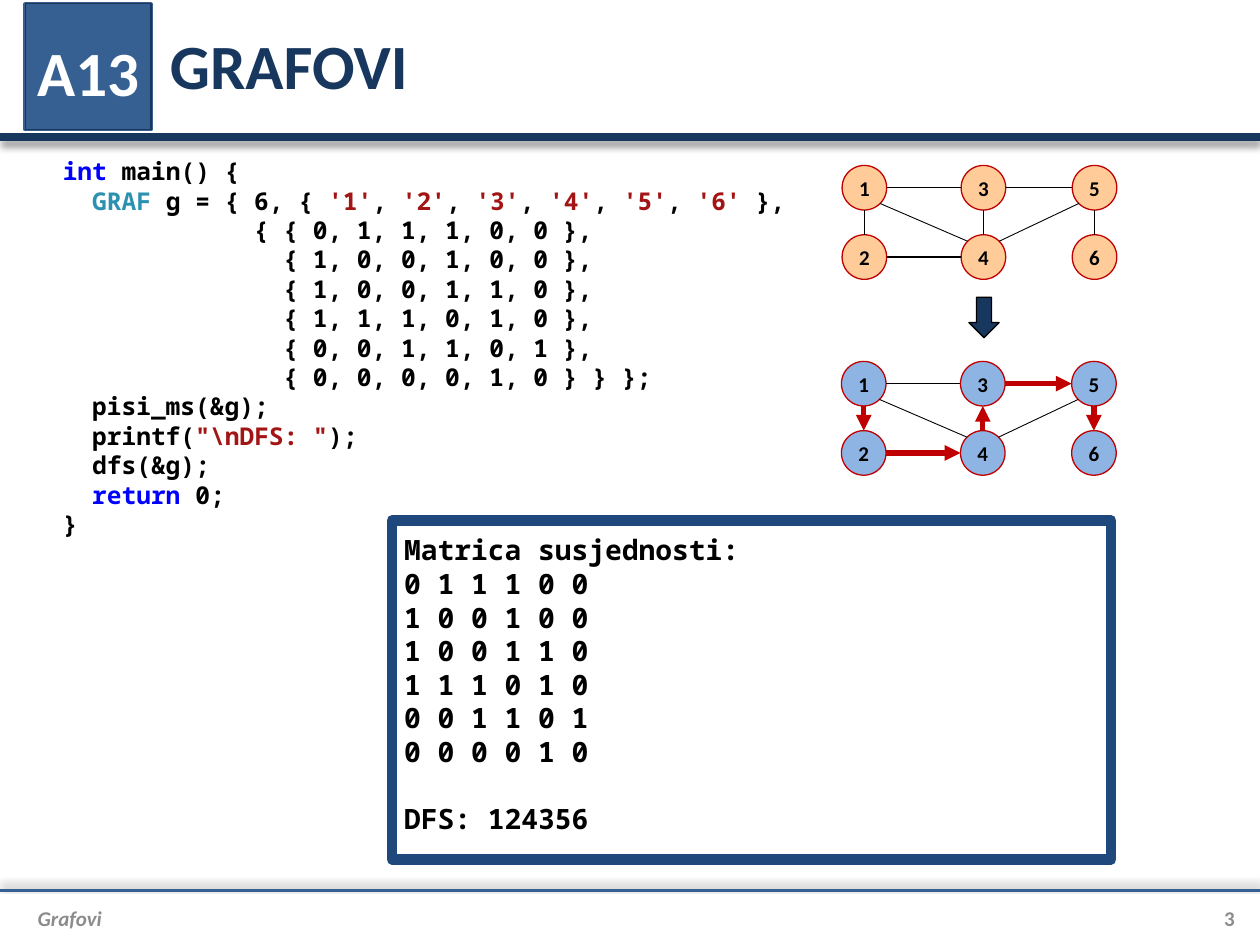
from dataclasses import dataclass
from itertools import combinations, pairwise
from math import copysign, sqrt

from lxml import etree
from pptx import Presentation
from pptx.dml.color import RGBColor
from pptx.enum.shapes import MSO_CONNECTOR, MSO_SHAPE
from pptx.enum.text import MSO_ANCHOR, PP_ALIGN
from pptx.oxml.ns import qn
from pptx.util import Inches, Pt

STRAIGHT = MSO_CONNECTOR.STRAIGHT
RECTANGLE, OVAL, DOWN_ARROW = MSO_SHAPE.RECTANGLE, MSO_SHAPE.OVAL, MSO_SHAPE.DOWN_ARROW
TOP, MIDDLE = MSO_ANCHOR.TOP, MSO_ANCHOR.MIDDLE
LEFT, CENTER, RIGHT = PP_ALIGN.LEFT, PP_ALIGN.CENTER, PP_ALIGN.RIGHT

WIDTH, HEIGHT = Inches(10), Inches(7.5)
COLUMN, ROW = WIDTH / 100, HEIGHT / 75


@dataclass(frozen=True)
class Theme:
    sans: str = "Calibri"
    mono: str = "Noto Sans Mono"
    title: int = 36
    output: int = 16
    code: int = 14
    small: int = 12
    navy: str = "17375E"
    blue: str = "376092"
    backing: str = "4F81BD"
    backing_edge: str = "3A5F8C"
    frame: str = "1F497D"
    gray: str = "8C8C8C"
    black: str = "000000"
    white: str = "FFFFFF"
    keyword: str = "0000FF"
    type_name: str = "2B91AF"
    string: str = "A31515"
    red: str = "C00000"
    start_node: str = "FFCC99"
    visited_node: str = "8EB4E3"


THEME = Theme()

MATRIX = ["011100", "100100", "100110", "111010", "001101", "000010"]
LABELS = "123456"
VISIT_ORDER = "124356"
NODE_COLUMNS = (0, 9.45, 18.27)
NODE_ROWS = (0, 5.5)
NODE_SIZE = 3.54


def color(code):
    return RGBColor.from_string(code)


def cells(across, down):
    return round(across * COLUMN), round(down * ROW)


def fill_text(box, lines, size, font=THEME.sans, ink=THEME.black, align=LEFT,
              anchor=TOP, insets=(0.1, 0.05, 0.1, 0.05), italic=False):
    frame = box.text_frame
    frame.word_wrap = True
    frame.vertical_anchor = anchor
    frame.margin_left, frame.margin_top, frame.margin_right, frame.margin_bottom = map(Inches, insets)
    for index, line in enumerate(lines):
        para = frame.paragraphs[0] if index == 0 else frame.add_paragraph()
        para.alignment = align
        for text, span_ink in [(line, ink)] if isinstance(line, str) else line:
            span = para.add_run()
            span.text = text
            span.font.name, span.font.size = font, Pt(size)
            span.font.bold, span.font.italic = True, italic
            span.font.color.rgb = color(span_ink)
    return frame


def add_text(page, at, lines, **text_format):
    box = page.shapes.add_textbox(*cells(*at[:2]), *cells(*at[2:]))
    return fill_text(box, lines, **text_format)


def add_box(page, kind, at, fill, edge, weight):
    box = page.shapes.add_shape(kind, *cells(*at[:2]), *cells(*at[2:]))
    box.shadow.inherit = False
    box.fill.solid()
    box.fill.fore_color.rgb = color(fill)
    box.line.color.rgb = color(edge)
    box.line.width = Pt(weight)
    return box


def add_line(page, start, end, ink, weight, arrow=False, shadow_angle=None):
    line = page.shapes.add_connector(STRAIGHT, *cells(*start), *cells(*end))
    line.line.color.rgb = color(ink)
    line.line.width = Pt(weight)
    if arrow:
        etree.SubElement(line.line._get_or_add_ln(), qn("a:tailEnd"), type="triangle")
    effects = etree.SubElement(line._element.spPr, qn("a:effectLst"))
    if shadow_angle is not None:
        shadow = etree.SubElement(effects, qn("a:outerShdw"), blurRad=str(Pt(4)), dist=str(Pt(3)),
                                  dir=str(shadow_angle * 60000), algn="t", rotWithShape="0")
        shade = etree.SubElement(shadow, qn("a:srgbClr"), val=THEME.black)
        etree.SubElement(shade, qn("a:alpha"), val="40000")


def edge_ends(start, end):
    across, down = end[0] - start[0], end[1] - start[1]
    reach = NODE_SIZE / 2 / (sqrt(2) if across and down else 1)
    shift_x = copysign(reach, across) if across else 0
    shift_y = copysign(reach, down) if down else 0
    return (start[0] + shift_x, start[1] + shift_y), (end[0] - shift_x, end[1] - shift_y)


def add_graph(page, left, top, fill, visit_order=""):
    centers = {}
    for index, label in enumerate(LABELS):
        x, y = left + NODE_COLUMNS[index // 2], top + NODE_ROWS[index % 2]
        centers[label] = x, y
        at = (x - NODE_SIZE / 2, y - NODE_SIZE / 2, NODE_SIZE, NODE_SIZE)
        node = add_box(page, OVAL, at, fill, THEME.red, 0.75)
        fill_text(node, [label], THEME.small, align=CENTER, anchor=MIDDLE,
                  insets=(0.04, 0.05, 0.04, 0.05))
    steps = set(pairwise(visit_order))
    for first, second in combinations(LABELS, 2):
        if MATRIX[LABELS.index(first)][LABELS.index(second)] == "0":
            continue
        if (second, first) in steps:
            first, second = second, first
        start, end = edge_ends(centers[first], centers[second])
        if (first, second) in steps:
            add_line(page, start, end, THEME.red, 3, arrow=True)
        else:
            diagonal = start[0] != end[0] and start[1] != end[1]
            add_line(page, start, end, THEME.black, 0.5 if diagonal else 0.75)


def code_lines():
    plain, string = THEME.black, THEME.string
    graph_line = [("  GRAF", THEME.type_name), (" g = { 6, { ", plain)]
    for label in LABELS:
        graph_line += [(f"'{label}'", string), (", " if label != LABELS[-1] else " },", plain)]
    rows = ["               { " + ", ".join(row) + " }," for row in MATRIX]
    rows[0] = "             { " + rows[0].lstrip()
    rows[-1] = rows[-1].rstrip(",") + " } };"
    return [
        [("int", THEME.keyword), (" main() {", plain)],
        graph_line,
        *rows,
        "  pisi_ms(&g);",
        [("  printf(", plain), ('"\\nDFS: "', string), (");", plain)],
        "  dfs(&g);",
        [("  return", THEME.keyword), (" 0;", plain)],
        "}",
    ]


def add_header_and_footer(page):
    add_line(page, (0, 10.9), (100, 10.9), THEME.navy, 4.5, shadow_angle=90)
    add_line(page, (0, 70.7), (100, 70.7), THEME.blue, 1.5, shadow_angle=270)
    badge_at = (2, 0.3, 10, 10)
    add_box(page, RECTANGLE, badge_at, THEME.backing, THEME.backing_edge, 2)
    add_text(page, (12.5, 0.1, 85.5, 10), ["GRAFOVI"], size=THEME.title, ink=THEME.navy, anchor=MIDDLE)
    add_text(page, (2, 71.1, 91, 3.5), ["Grafovi"], size=THEME.small, ink=THEME.gray,
             anchor=MIDDLE, insets=(0.1, 0, 0, 0), italic=True)
    add_text(page, (93, 71.1, 5, 3.5), ["3"], size=THEME.small, ink=THEME.gray,
             align=RIGHT, anchor=MIDDLE, insets=(0, 0, 0, 0))
    badge = add_box(page, RECTANGLE, badge_at, THEME.blue, THEME.navy, 0.75)
    fill_text(badge, ["A13"], THEME.title, ink=THEME.white, align=CENTER, anchor=MIDDLE,
              insets=(0, 0.08, 0, 0))


def add_output(page):
    box = add_box(page, RECTANGLE, (31.1, 41.3, 57.1, 26.9), THEME.white, THEME.frame, 6)
    lines = ["Matrica susjednosti:", *map(" ".join, MATRIX), f"DFS: {VISIT_ORDER}"]
    frame = fill_text(box, lines, THEME.output, font=THEME.mono, insets=(0.1, 0.1, 0.1, 0.1))
    frame.paragraphs[-1].space_before = Pt(THEME.output * 1.2)


def main():
    deck = Presentation()
    deck.slide_width, deck.slide_height = WIDTH, HEIGHT
    page = deck.slides.add_slide(deck.slide_layouts[6])
    add_header_and_footer(page)
    add_text(page, (4, 11.9, 95, 31.6), code_lines(), size=THEME.code, font=THEME.mono)
    add_output(page)
    add_graph(page, 68.6, 14.9, THEME.start_node)
    add_graph(page, 68.55, 30.45, THEME.visited_node, VISIT_ORDER)
    add_box(page, DOWN_ARROW, (76.9, 23.6, 2.4, 3.2), THEME.navy, THEME.black, 0.75)
    deck.save("out.pptx")


if __name__ == "__main__":
    main()
